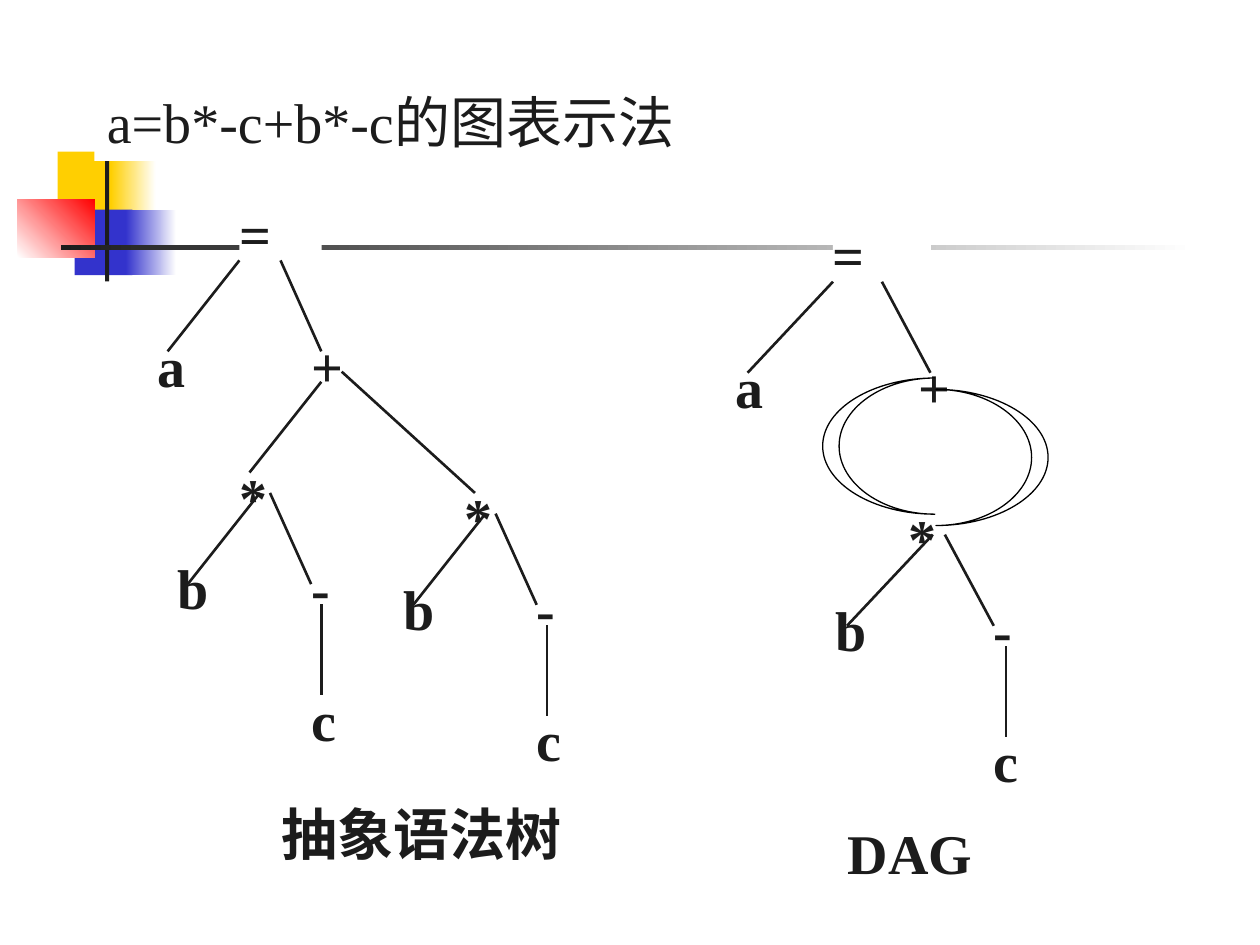
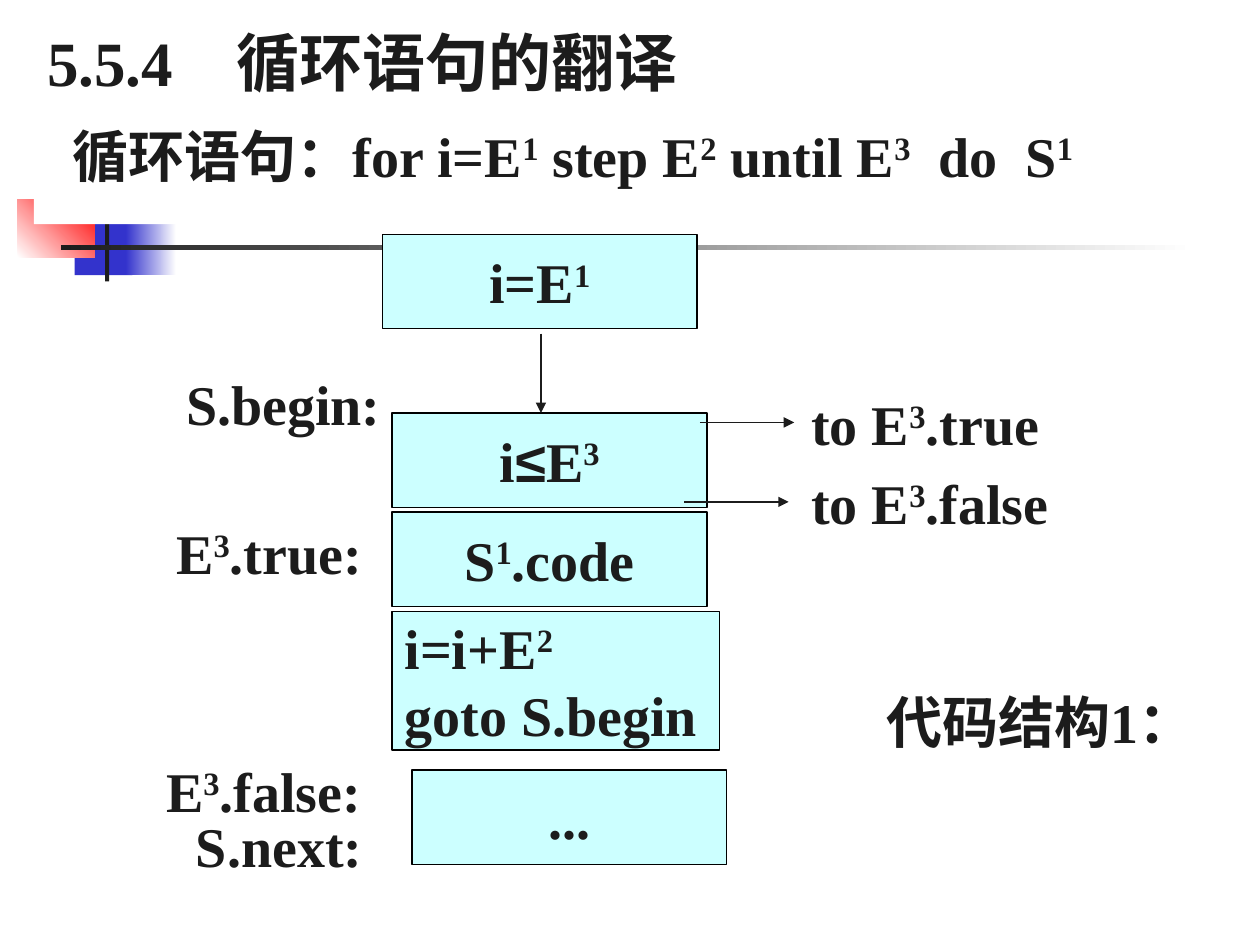
from dataclasses import dataclass
from typing import NamedTuple, Optional

from lxml import etree
from pptx import Presentation
from pptx import util as u
from pptx.dml import color as dml
from pptx.enum import shapes, text
from pptx.oxml import ns


@dataclass(frozen=True)
class Theme:
    ink: str = "1C1C1C"
    paper: str = "FFFFFF"
    outline: str = "000000"
    step: str = "CCFFFF"
    yellow: str = "FFCF01"
    blue: str = "3333CC"
    red: str = "FF0000"
    font: str = "Times New Roman"
    symbol_font: str = "Arial"
    body: float = 32
    heading: float = 36
    thin: float = 0.75
    branch: float = 1.5
    space_before: float = 3.2


class Frame(NamedTuple):
    left: float
    top: float
    width: float
    height: float


class Point(NamedTuple):
    x: float
    y: float


class Ornament(NamedTuple):
    frame: Frame
    start: str
    end: Optional[str] = None
    angle: float = 0


class Node(NamedTuple):
    label: str
    dx: float
    dy: float
    units: int = 1


class Branch(NamedTuple):
    start: Point
    end: Point


class Part(NamedTuple):
    nodes: tuple
    branches: tuple


class Label(NamedTuple):
    content: str
    frame: Frame


THEME = Theme()
CENTER = text.PP_ALIGN.CENTER
LEFT = text.PP_ALIGN.LEFT
TOP = text.MSO_ANCHOR.TOP
MIDDLE = text.MSO_ANCHOR.MIDDLE
BOTTOM = text.MSO_ANCHOR.BOTTOM
NODE_WIDTH = 23.5
NODE_HEIGHT = 38.2
CURVATURE = 0.55

YELLOW_SQUARES = (
    Ornament(Frame(33, 86.6, 34.6, 37.4), THEME.yellow),
    Ornament(Frame(63.4, 86.6, 25.6, 37.4), THEME.yellow, THEME.paper),
)
ORNAMENTS = (
    Ornament(Frame(42.7, 119.8, 33, 37.4), THEME.blue),
    Ornament(Frame(72, 119.8, 28.8, 37.4), THEME.blue, THEME.paper),
    Ornament(Frame(10, 113.8, 44.2, 33.4), THEME.paper, THEME.red, 45),
    Ornament(Frame(60, 78, 2.4, 82.8), THEME.ink),
    Ornament(Frame(34.8, 140.2, 648, 2.4), THEME.ink, THEME.paper),
)

ASSIGNMENT = Part(
    (Node("a", -46.8, 75.6), Node("=", 0, 0, 2), Node("+", 41, 75.6)),
    (Branch(Point(0, 35), Point(-41, 87)), Branch(Point(23.5, 35), Point(46.8, 87))),
)
PRODUCT = Part(
    (Node("*", 0, 0), Node("b", -35.2, 52.2), Node("-", 41, 52.2), Node("c", 41, 127.4)),
    (
        Branch(Point(11.7, 17.5), Point(-29.5, 69.6)),
        Branch(Point(17.5, 17.5), Point(41, 69.6)),
        Branch(Point(46.8, 81.2), Point(46.8, 133.2)),
    ),
)
SUM_BRANCHES = (
    Branch(Point(183.6, 218.2), Point(142.6, 270)),
    Branch(Point(195.3, 212.4), Point(271.4, 281.7)),
)

STEPS = (
    Label("i=E|^1", Frame(218.4, 133.9, 180, 54)),
    Label("i|≤|E|^3", Frame(224.1, 236, 180, 54)),
    Label("S|^1|.code", Frame(224.1, 292.6, 180, 54)),
    Label("i=i+E|^2\ngoto S.begin", Frame(224.1, 349.4, 187.2, 79.2)),
    Label("...", Frame(235.4, 440, 180, 54)),
)
STEP_LABELS = (
    Label("S.begin:", Frame(99.2, 207.4, 126, 46)),
    Label("E|^3|.true:", Frame(93.6, 292.7, 146.9, 46)),
    Label("E|^3|.false:", Frame(87.8, 428.7, 147.6, 46)),
    Label("S.next:", Frame(104.9, 460.1, 113.8, 46)),
    Label("to E|^3|.false", Frame(456.5, 264.2, 192.2, 46)),
    Label("to E|^3|.true", Frame(456.5, 218.9, 181.4, 46)),
)
ARROWS = (
    Branch(Point(400, 241.4), Point(453.8, 241.4)),
    Branch(Point(391, 286.8), Point(450.7, 286.8)),
    Branch(Point(309.1, 190.6), Point(309.1, 236)),
)


def rgb(value: str) -> dml.RGBColor:
    return dml.RGBColor.from_string(value)


def paint(shape, fill: str, line: Optional[str] = None) -> None:
    shape.shadow.inherit = False
    shape.fill.solid()
    shape.fill.fore_color.rgb = rgb(fill)
    if line:
        shape.line.color.rgb = rgb(line)
        shape.line.width = u.Pt(THEME.thin)
    else:
        shape.line.fill.background()


def add_rectangle(page, frame: Frame, fill: str, line: Optional[str] = None):
    box = page.shapes.add_shape(shapes.MSO_SHAPE.RECTANGLE, *map(u.Pt, frame))
    paint(box, fill, line)
    return box


def add_ornament(page, ornament: Ornament) -> None:
    box = add_rectangle(page, ornament.frame, ornament.start)
    if ornament.end:
        box.fill.gradient()
        box.fill.gradient_angle = ornament.angle
        for stop, tone in zip(box.fill.gradient_stops, (ornament.start, ornament.end)):
            stop.color.rgb = rgb(tone)


def add_spans(para, content: str, size: float, bold: bool) -> None:
    for piece in content.split("|"):
        span = para.add_run()
        span.text = piece.removeprefix("^")
        span.font.name = THEME.symbol_font if piece == "≤" else THEME.font
        span.font.size = u.Pt(size)
        span.font.bold = bold
        span.font.color.rgb = rgb(THEME.ink)
        if piece.startswith("^"):
            span._r.get_or_add_rPr().set("baseline", "30000")


def write(page, content: str, frame: Frame, *, size: float = THEME.body, bold: bool = True,
          align=LEFT, anchor=TOP, inset: Point = Point(7.2, 3.6), before: float = 0,
          fill: Optional[str] = THEME.paper, line: Optional[str] = None,
          margin: float = 0, indent: float = 0, tab: float = 0) -> None:
    if fill:
        box = add_rectangle(page, frame, fill, line)
    else:
        box = page.shapes.add_textbox(*map(u.Pt, frame))
    body = box.text_frame
    body.word_wrap = True
    body.vertical_anchor = anchor
    body.margin_left = body.margin_right = u.Pt(inset.x)
    body.margin_top = body.margin_bottom = u.Pt(inset.y)
    for index, words in enumerate(content.split("\n")):
        para = body.add_paragraph() if index else body.paragraphs[0]
        para.alignment = align
        para.space_before = u.Pt(before)
        settings = para._p.get_or_add_pPr()
        settings.set("marL", str(u.Pt(margin)))
        settings.set("indent", str(u.Pt(indent)))
        if tab:
            stops = etree.SubElement(settings, ns.qn("a:tabLst"))
            etree.SubElement(stops, ns.qn("a:tab"), pos=str(u.Pt(tab)), algn="l")
        add_spans(para, words, size, bold)


def add_line(page, start: Point, end: Point, width: float, arrow: bool = False) -> None:
    line = page.shapes.add_connector(shapes.MSO_CONNECTOR.STRAIGHT, *map(u.Pt, (*start, *end)))
    line.line.color.rgb = rgb(THEME.ink)
    line.line.width = u.Pt(width)
    if arrow:
        etree.SubElement(line.line._get_or_add_ln(), ns.qn("a:tailEnd"), type="triangle")
    etree.SubElement(line._element.spPr, ns.qn("a:effectLst"))


def add_part(page, part: Part, origin: Point, stretch: float = 1) -> None:
    def place(x: float, y: float) -> Point:
        return Point(origin.x + x * stretch, origin.y + y)

    for node in part.nodes:
        frame = Frame(*place(node.dx, node.dy), NODE_WIDTH * node.units * stretch, NODE_HEIGHT)
        write(page, node.label, frame, inset=Point(0, 0), before=THEME.space_before)
    for branch in part.branches:
        add_line(page, place(*branch.start), place(*branch.end), THEME.branch)


def round_corners(outline) -> None:
    points = [Point(int(p.get("x")), int(p.get("y"))) for p in outline.iter(ns.qn("a:pt"))]
    segments = list(outline.iter(ns.qn("a:lnTo")))
    for index, (segment, start, end) in enumerate(zip(segments, points, points[1:])):
        across = CURVATURE * (end.x - start.x)
        down = CURVATURE * (end.y - start.y)
        if index % 2:
            controls = Point(start.x, start.y + down), Point(end.x - across, end.y)
        else:
            controls = Point(start.x + across, start.y), Point(end.x, end.y - down)
        curve = etree.Element(ns.qn("a:cubicBezTo"))
        for point in (*controls, end):
            etree.SubElement(curve, ns.qn("a:pt"), x=str(round(point.x)), y=str(round(point.y)))
        segment.getparent().replace(segment, curve)


def add_crescent(page, center: Point, side: int) -> None:
    top, bottom = Point(center.x, center.y - 38.9), Point(center.x, center.y + 38.9)
    inner, outer = (Point(center.x + side * reach, center.y) for reach in (54.7, 64.1))
    knots = [tuple(map(u.Pt, knot)) for knot in (top, inner, bottom, outer, top)]
    builder = page.shapes.build_freeform(*knots[0], scale=1.0)
    builder.add_line_segments(knots[1:], close=True)
    crescent = builder.convert_to_shape()
    round_corners(crescent._element)
    paint(crescent, THEME.paper, THEME.outline)


def add_page(deck, ornaments: tuple):
    page = deck.slides.add_slide(deck.slide_layouts[6])
    for ornament in ornaments:
        add_ornament(page, ornament)
    return page


def build_graphs(deck) -> None:
    page = add_page(deck, YELLOW_SQUARES + ORNAMENTS)
    write(page, "a=b*-c+b*-c的图表示法", Frame(54, 32, 612, 60), bold=False, anchor=BOTTOM)

    tree = page.shapes.add_group_shape()
    add_part(tree, ASSIGNMENT, Point(136.8, 113.8))
    for origin in (Point(136.8, 264.2), Point(265.7, 276)):
        add_part(tree, PRODUCT, origin)
    for branch in SUM_BRANCHES:
        add_line(tree, branch.start, branch.end, THEME.branch)
    write(page, "抽象语法树", Frame(121.7, 457.2, 238.3, 41.8), align=CENTER, anchor=BOTTOM)

    graph = page.shapes.add_group_shape()
    add_part(graph, ASSIGNMENT, Point(476, 126), 1.19)
    add_part(graph, PRODUCT, Point(519.1, 288), 1.19)
    add_crescent(graph, Point(534.2, 254.9), -1)
    add_crescent(graph, Point(534.8, 261.4), 1)
    write(graph, "DAG", Frame(477.4, 468, 172.1, 41.8), anchor=BOTTOM)


def build_loop(deck) -> None:
    page = add_page(deck, ORNAMENTS)
    write(page, "5.5.4\t循环语句的翻译", Frame(19.8, 0, 612, 60.3),
          size=THEME.heading, anchor=BOTTOM, tab=107.2)
    hanging = dict(before=THEME.space_before, margin=27.4, indent=-12.5)
    write(page, "循环语句：for i=E|^1| step E|^2| until E|^3|  do  S|^1",
          Frame(19.4, 66, 678.2, 62.2), **hanging)
    chart = page.shapes.add_group_shape()
    for step in STEPS:
        align = LEFT if "\n" in step.content else CENTER
        write(chart, step.content, step.frame, align=align, anchor=MIDDLE,
              fill=THEME.step, line=THEME.outline)
    for label in STEP_LABELS:
        write(chart, label.content, label.frame, before=THEME.space_before, fill=None)
    for arrow in ARROWS:
        add_line(chart, arrow.start, arrow.end, THEME.thin, arrow=True)
    write(page, "代码结构1：", Frame(484.4, 389.2, 215.3, 62.6), **hanging)


def main() -> None:
    deck = Presentation()
    deck.slide_width, deck.slide_height = u.Pt(720), u.Pt(540)
    build_graphs(deck)
    build_loop(deck)
    deck.save("out.pptx")


if __name__ == "__main__":
    main()
